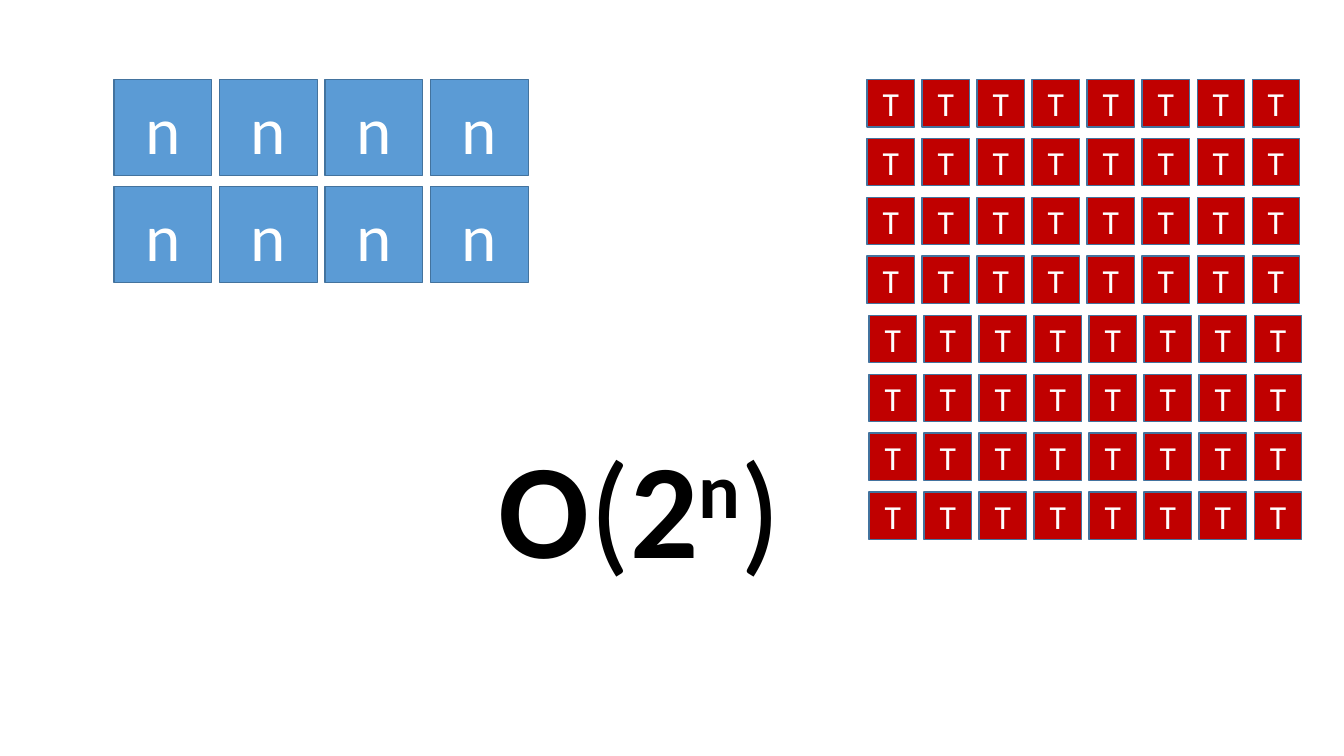
from itertools import product

from pptx import Presentation
from pptx.dml.color import RGBColor
from pptx.enum.shapes import MSO_SHAPE
from pptx.enum.text import MSO_ANCHOR, MSO_AUTO_SIZE, PP_ALIGN
from pptx.util import Inches, Pt

COLORS = {
    "blue": "5B9BD5",
    "red": "C00000",
    "edge": "43739E",
    "white": "FFFFFF",
    "black": "000000",
}


def color(name):
    """Return the named colour."""
    return RGBColor.from_string(COLORS[name])


def style(para, size, ink):
    """Set the font of a paragraph."""
    para.font.name = "Calibri"
    para.font.size = Pt(size)
    para.font.color.rgb = color(ink)


def add_tile(slide, box, label, size, fill):
    """Draw one labelled tile in its box."""
    tile = slide.shapes.add_shape(MSO_SHAPE.RECTANGLE, *map(Inches, box))
    tile.shadow.inherit = False
    tile.fill.solid()
    tile.fill.fore_color.rgb = color(fill)
    tile.line.color.rgb = color("edge")
    tile.line.width = Pt(1)
    frame = tile.text_frame
    frame.vertical_anchor = MSO_ANCHOR.MIDDLE
    para = frame.paragraphs[0]
    para.text = label
    para.alignment = PP_ALIGN.CENTER
    style(para, size, "white")


def add_grid(slide, box, rows, cols, tile, label, size, fill):
    """Spread equal tiles evenly over a box."""
    left, top, width, height = box
    wide, high = tile
    step_x = (width - wide) / (cols - 1)
    step_y = (height - high) / (rows - 1)
    for row, col in product(range(rows), range(cols)):
        spot = (left + col * step_x, top + row * step_y, wide, high)
        add_tile(slide, spot, label, size, fill)


def add_order(slide, box):
    """Write the growth order in its box."""
    frame = slide.shapes.add_textbox(*map(Inches, box)).text_frame
    frame.word_wrap = False
    frame.auto_size = MSO_AUTO_SIZE.SHAPE_TO_FIT_TEXT
    para = frame.paragraphs[0]
    style(para, 96, "black")
    for text, bold, base in (
        ("O", True, 0),
        ("(", False, 0),
        ("2", True, 0),
        ("n", True, 30000),
        (")", False, 0),
    ):
        run = para.add_run()
        run.text = text
        run.font.bold = bold
        if base:
            run._r.get_or_add_rPr().set("baseline", str(base))


def main():
    """Build the slide and save it."""
    deck = Presentation()
    deck.slide_width = Inches(13.33)
    deck.slide_height = Inches(7.5)
    slide = deck.slides.add_slide(deck.slide_layouts[6])
    add_grid(slide, (1.13, 0.79, 4.11, 2.01), 2, 4, (0.97, 0.95), "n", 48, "blue")
    for left, top in ((8.6, 0.79), (8.62, 3.13)):
        add_grid(slide, (left, top, 4.29, 2.22), 4, 8, (0.47, 0.47), "T", 24, "red")
    add_order(slide, (4.85, 4.16, 3.09, 1.72))
    deck.save("out.pptx")


if __name__ == "__main__":
    main()
